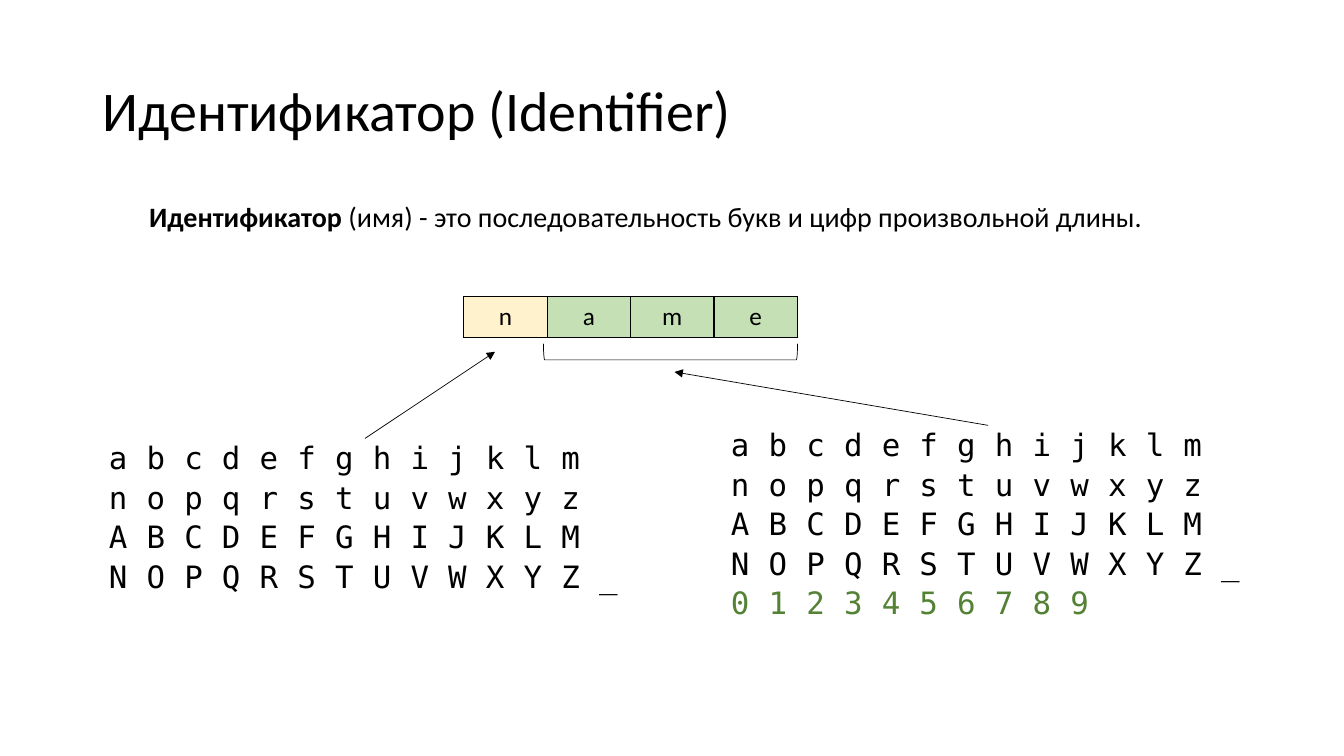
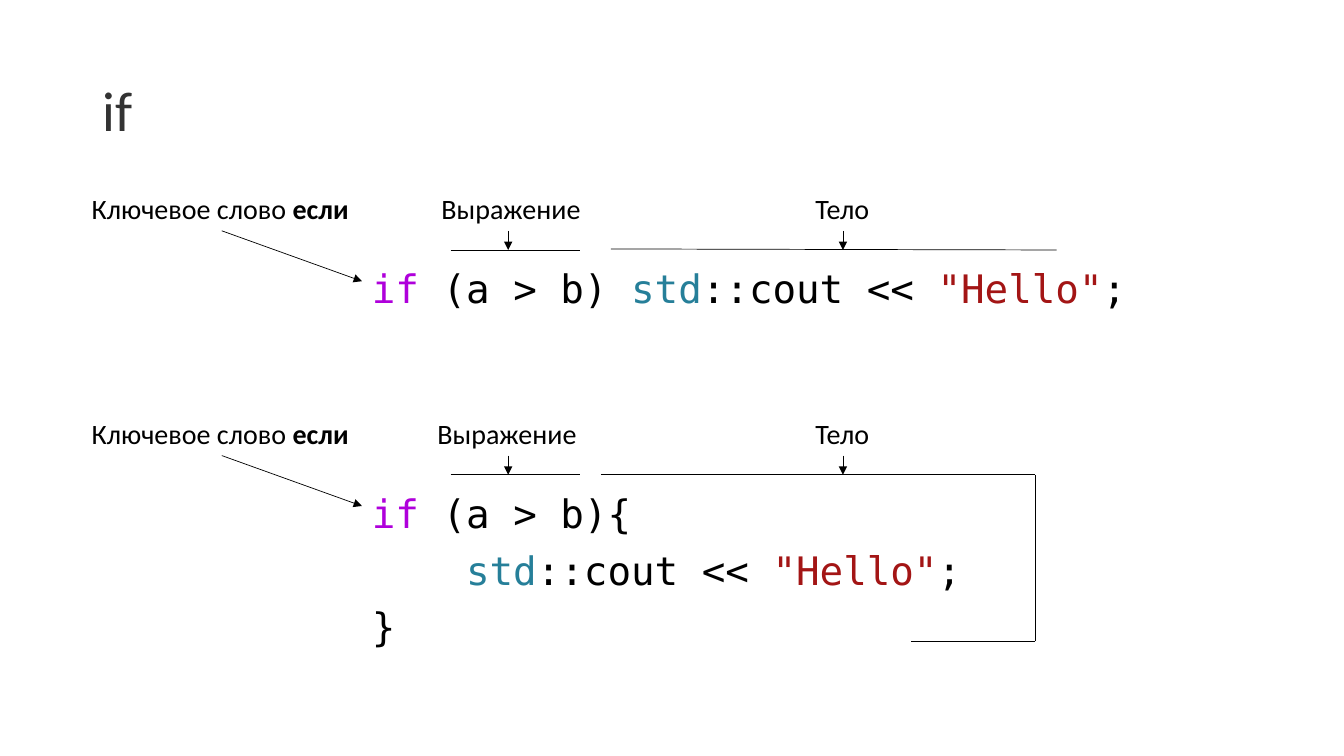
from lxml import etree
from pptx import Presentation
from pptx import util as u
from pptx.dml import color
from pptx.enum import shapes, text
from pptx.oxml import ns

COLORS = {
    "black": "000000",
    "title_gray": "333333",
    "first_letter": "FFF2CC",
    "other_letters": "C5E0B4",
    "digits": "548235",
    "keyword": "AF00DB",
    "namespace": "267F99",
    "string": "A31515",
}
SANS, MONO = "Calibri", "DejaVu Sans Mono"
LETTERS = [
    "abcdefghijklm",
    "nopqrstuvwxyz",
    "ABCDEFGHIJKLM",
    "NOPQRSTUVWXYZ_",
]
DIGITS = "0123456789"
HAIRLINE = 0.5


def rgb(name):
    return color.RGBColor.from_string(COLORS[name])


# Text
def add_span(para, words, size, font=SANS, tint="black", bold=False):
    span = para.add_run()
    span.text = words
    span.font.size = u.Pt(size)
    span.font.name = font
    span.font.bold = bold
    span.font.color.rgb = rgb(tint)


def add_box(page, left, top, width, height, wrap=True):
    box = page.shapes.add_textbox(*map(u.Inches, (left, top, width, height)))
    box.text_frame.word_wrap = wrap
    return box.text_frame


def add_title(page, words, tint="black"):
    frame = add_box(page, 0.92, 0.4, 11.5, 1.45)
    frame.vertical_anchor = text.MSO_ANCHOR.MIDDLE
    para = frame.paragraphs[0]
    para.line_spacing = 0.9
    add_span(para, words, 40, tint=tint)


def add_label(page, left, top, width, words, bold_words=""):
    para = add_box(page, left, top, width, 0.44, wrap=False).paragraphs[0]
    add_span(para, words, 20)
    if bold_words:
        add_span(para, bold_words, 20, bold=True)


def add_code(page, top, height, lines):
    frame = add_box(page, 3.59, top, 8.83, height)
    for index, line in enumerate(lines):
        para = frame.add_paragraph() if index else frame.paragraphs[0]
        para.line_spacing = 0.9
        if index:
            para.space_before = u.Pt(10)
        for words, tint in line:
            add_span(para, words, 28, MONO, tint)


# Lines
def add_line(page, start, end, arrow=False):
    line = page.shapes.add_connector(
        shapes.MSO_CONNECTOR.STRAIGHT, *map(u.Inches, (*start, *end)))
    line.line.color.rgb = rgb("black")
    line.line.width = u.Pt(HAIRLINE)
    properties = line.element.spPr
    if arrow:
        outline = properties.find(ns.qn("a:ln"))
        etree.SubElement(outline, ns.qn("a:tailEnd"), type="triangle")
    etree.SubElement(properties, ns.qn("a:effectLst"))


def add_bracket(page, left, top, width, height):
    """Draw a bracket that opens upwards within the given bounds."""
    middle_x, middle_y = left + width / 2, top + height / 2
    bracket = page.shapes.add_shape(
        shapes.MSO_SHAPE.LEFT_BRACKET,
        u.Inches(middle_x - height / 2), u.Inches(middle_y - width / 2),
        u.Inches(height), u.Inches(width))
    bracket.rotation = 270
    bracket.shadow.inherit = False
    bracket.fill.background()
    bracket.line.color.rgb = rgb("black")
    bracket.line.width = u.Pt(HAIRLINE)


# Tables
def add_grid(page, left, top, width, row_height, rows, columns):
    table = page.shapes.add_table(
        rows, columns, *map(u.Inches, (left, top, width, row_height * rows))).table
    table.first_row = table.horz_banding = False
    for column in table.columns:
        column.width = u.Inches(width / columns)
    return table


def add_borders(cell, width=1):
    properties = cell._tc.get_or_add_tcPr()
    for index, side in enumerate(("lnL", "lnR", "lnT", "lnB")):
        border = etree.Element(ns.qn(f"a:{side}"), w=str(u.Pt(width)))
        fill = etree.SubElement(border, ns.qn("a:solidFill"))
        etree.SubElement(fill, ns.qn("a:srgbClr"), val=COLORS["black"])
        properties.insert(index, border)


def add_name_table(page, name):
    table = add_grid(page, 4.6, 2.94, 3.31, 0.41, 1, len(name))
    for index, letter in enumerate(name):
        cell = table.cell(0, index)
        cell.fill.solid()
        cell.fill.fore_color.rgb = rgb("other_letters" if index else "first_letter")
        add_borders(cell)
        para = cell.text_frame.paragraphs[0]
        para.alignment = text.PP_ALIGN.CENTER
        add_span(para, letter, 18)


def add_alphabet(page, left, top, lines):
    columns = max(map(len, lines))
    table = add_grid(page, left, top, 5.24, 0.37, len(lines), columns)
    for row, line in enumerate(lines):
        tint = "digits" if line == DIGITS else "black"
        for column in range(columns):
            cell = table.cell(row, column)
            cell.fill.background()
            cell.margin_left = cell.margin_right = u.Inches(0.07)
            cell.margin_top = cell.margin_bottom = 0
            if column < len(line):
                para = cell.text_frame.paragraphs[0]
                para.line_spacing = 1.07
                para.space_after = u.Pt(8)
                add_span(para, line[column], 22, MONO, tint)


# Slides
def build_identifier(page):
    add_title(page, "Идентификатор (Identifier)")
    para = add_box(page, 1.38, 1.97, 10.67, 0.5).paragraphs[0]
    para.line_spacing = 0.9
    add_span(para, "Идентификатор", 20, bold=True)
    add_span(para, " (имя) - это последовательность букв и цифр произвольной длины.", 20)

    add_name_table(page, "name")
    add_bracket(page, 5.39, 3.41, 2.52, 0.16)
    add_alphabet(page, 1.01, 4.35, LETTERS)
    add_line(page, (3.62, 4.35), (4.91, 3.49), arrow=True)
    add_alphabet(page, 7.18, 4.22, LETTERS + [DIGITS])
    add_line(page, (9.8, 4.22), (6.69, 3.69), arrow=True)


def add_if_parts(page, top, expression_left):
    """Label the keyword, the expression and the body of one statement."""
    add_label(page, 0.81, top, 2.78, "Ключевое слово ", "если")
    add_label(page, expression_left, top, 1.6, "Выражение")
    add_label(page, 7.99, top, 0.74, "Тело")
    arrow_top, rule = top + 0.44, top + 0.63
    add_line(page, (2.2, arrow_top), (3.59, top + 0.94), arrow=True)
    for middle in (5.04, 8.36):
        add_line(page, (middle, arrow_top), (middle, rule), arrow=True)
    add_line(page, (4.47, rule), (5.75, rule))


def build_if(page):
    add_title(page, "if", "title_gray")
    keyword = ("if", "keyword")
    output = [("std", "namespace"), ("::cout << ", "black"),
              ('"Hello"', "string"), (";", "black")]

    # Statement on one line
    add_code(page, 2.63, 0.6, [[keyword, (" (a > b) ", "black"), *output]])
    add_if_parts(page, 1.85, 4.28)
    add_line(page, (6.06, 2.47), (10.48, 2.48))

    # Statement with braces
    add_code(page, 4.86, 1.8, [
        [keyword, (" (a > b){", "black")],
        [("    ", "black"), *output],
        [("}", "black")],
    ])
    add_if_parts(page, 4.08, 4.24)
    body_outline = [(5.96, 4.71), (10.27, 4.71), (10.27, 6.36), (9.04, 6.36)]
    for start, end in zip(body_outline, body_outline[1:]):
        add_line(page, start, end)


def main():
    deck = Presentation()
    deck.slide_width, deck.slide_height = u.Inches(13.33), u.Inches(7.5)
    for build in (build_identifier, build_if):
        build(deck.slides.add_slide(deck.slide_layouts[6]))
    deck.save("out.pptx")


if __name__ == "__main__":
    main()
